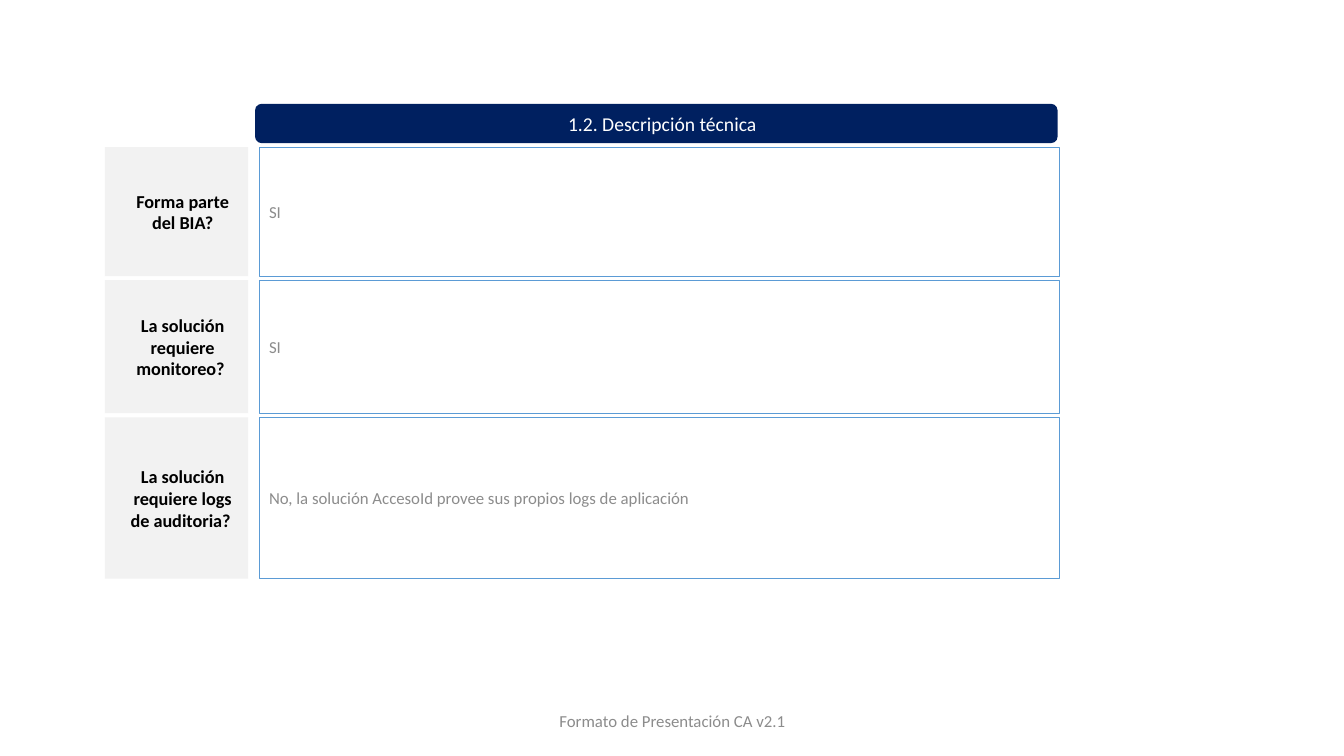
from dataclasses import dataclass

from pptx import Presentation
from pptx.dml.color import RGBColor
from pptx.enum.shapes import MSO_SHAPE as Preset
from pptx.enum.text import MSO_ANCHOR as Anchor, MSO_AUTO_SIZE as AutoSize, PP_ALIGN as Align
from pptx.shapes.autoshape import Shape
from pptx.slide import Slide
from pptx.util import Inches, Pt

NAVY, WHITE, BLACK = "002060", "FFFFFF", "000000"
PALE, GRAY, BLUE = "F2F2F2", "8C8C8C", "5B9BD5"
FONT = "Calibri"
QUESTION_LEFT, QUESTION_WIDTH = 1.04, 1.42
ANSWER_LEFT, ANSWER_WIDTH = 2.57, 7.94
FIRST_TOP, ROW_GAP = 1.46, 0.04
PADDING, QUESTION_INDENT = 0.1, 0.12


@dataclass(frozen=True)
class Box:
    left: float
    top: float
    width: float
    height: float

    def lengths(self) -> tuple[Inches, ...]:
        return tuple(Inches(v) for v in (self.left, self.top, self.width, self.height))


@dataclass(frozen=True)
class Requirement:
    question: str
    answer: str
    height: float


REQUIREMENTS = [
    Requirement("Forma parte del BIA?", "SI", 1.28),
    Requirement("La solución requiere monitoreo? ", "SI", 1.32),
    Requirement("La solución requiere logs de auditoria? ",
                "No, la solución AccesoId provee sus propios logs de aplicación", 1.6),
]


def color(value: str) -> RGBColor:
    return RGBColor.from_string(value)


def add_panel(slide: Slide, preset: Preset, box: Box, fill: str, line: str | None = None) -> Shape:
    panel = slide.shapes.add_shape(preset, *box.lengths())
    panel.shadow.inherit = False
    panel.fill.solid()
    panel.fill.fore_color.rgb = color(fill)
    if line:
        panel.line.color.rgb = color(line)
        panel.line.width = Pt(0.5)
    else:
        panel.line.fill.background()
    return panel


def write(shape: Shape, text: str, size: float, ink: str, align: Align,
          margins: tuple[float, float, float, float], bold: bool = False,
          before: float = 0) -> None:
    frame = shape.text_frame
    frame.word_wrap = True
    frame.auto_size = AutoSize.NONE
    frame.vertical_anchor = Anchor.MIDDLE
    frame.margin_left, frame.margin_top, frame.margin_right, frame.margin_bottom = map(Inches, margins)
    paragraph = frame.paragraphs[0]
    paragraph.text = text
    paragraph.alignment = align
    paragraph.space_before = Pt(before)
    paragraph.font.name = FONT
    paragraph.font.size = Pt(size)
    paragraph.font.bold = bold
    paragraph.font.color.rgb = color(ink)


def add_heading(slide: Slide, text: str) -> None:
    box = Box(2.53, 1.03, 7.96, 0.39)
    bar = add_panel(slide, Preset.ROUNDED_RECTANGLE, box, NAVY)
    title = slide.shapes.title
    title.left, title.top, title.width, title.height = box.lengths()
    title._element.addprevious(bar._element)
    write(title, text, 14, WHITE, Align.CENTER, (0.12, 0, 0, 0))


def add_requirement(slide: Slide, row: Requirement, top: float) -> None:
    question = add_panel(slide, Preset.RECTANGLE,
                         Box(QUESTION_LEFT, top, QUESTION_WIDTH, row.height), PALE)
    write(question, row.question, 13, BLACK, Align.CENTER,
          (PADDING + QUESTION_INDENT, PADDING, PADDING, PADDING), bold=True, before=2.6)
    answer = add_panel(slide, Preset.RECTANGLE,
                       Box(ANSWER_LEFT, top, ANSWER_WIDTH, row.height), WHITE, BLUE)
    write(answer, row.answer, 12, GRAY, Align.LEFT, (PADDING,) * 4, before=2.4)


def main() -> None:
    deck = Presentation()
    deck.slide_width, deck.slide_height = Inches(13.33), Inches(7.5)
    slide = deck.slides.add_slide(deck.slide_layouts.get_by_name("Title Only"))
    add_heading(slide, "1.2. Descripción técnica")
    top = FIRST_TOP
    for row in REQUIREMENTS:
        add_requirement(slide, row, top)
        top += row.height + ROW_GAP
    footer = slide.shapes.add_textbox(*Box(4.42, 6.95, 4.5, 0.4).lengths())
    write(footer, "Formato de Presentación CA v2.1", 12, GRAY, Align.CENTER, (0.1, 0.05, 0.1, 0.05))
    deck.save("out.pptx")


if __name__ == "__main__":
    main()
